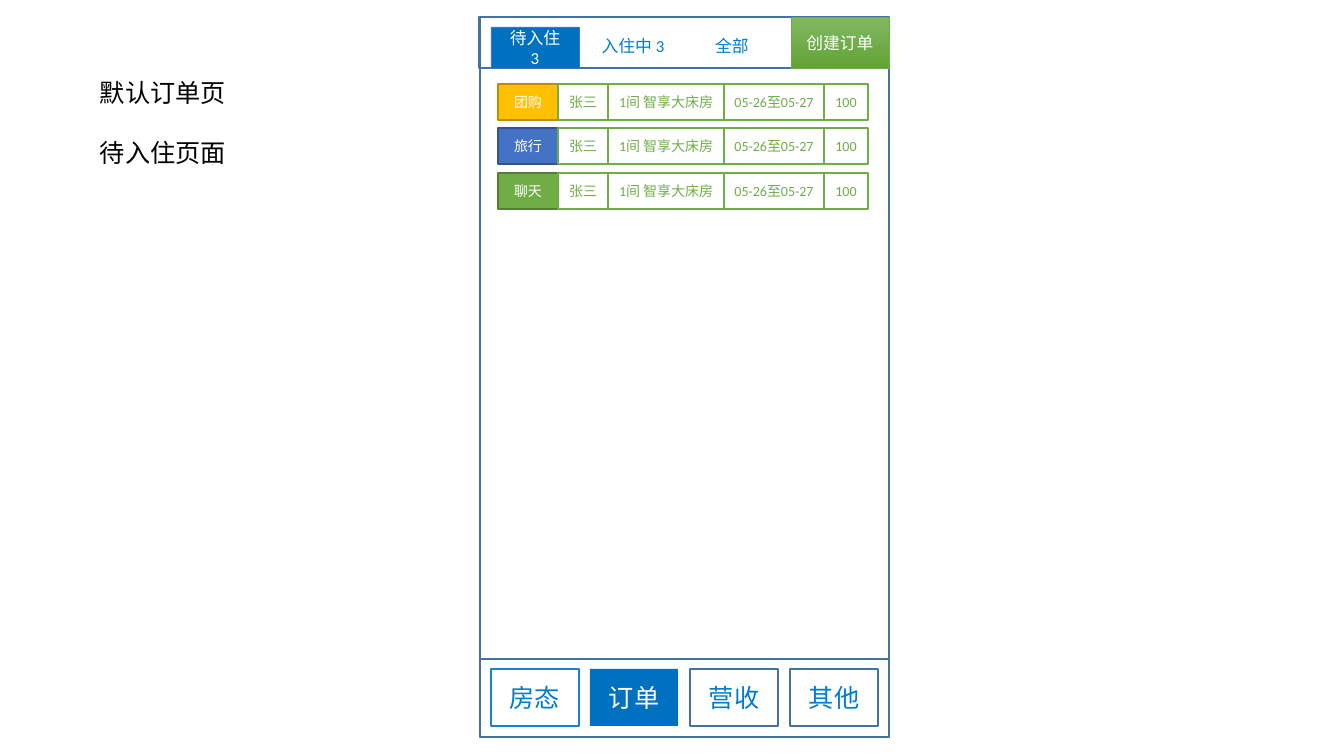
from itertools import accumulate

from pptx import Presentation
from pptx.dml.color import RGBColor
from pptx.enum.shapes import MSO_SHAPE as Shape
from pptx.enum.text import MSO_ANCHOR as Anchor, PP_ALIGN as Align
from pptx.util import Pt

EMU_PER_PX = 12192000 / 1344
WHITE, BLACK = "FFFFFF", "000000"
OUTLINE, LINK, ACTIVE, GREEN = "43739E", "007BD3", "0070C0", "70AD47"


def px(*lengths):
    """Turn pixel lengths into EMU."""
    return [round(length * EMU_PER_PX) for length in lengths]


def rgb(value):
    """Turn a hex string into a colour."""
    return RGBColor.from_string(value)


def style(paragraph, size, color):
    """Set the font of one paragraph."""
    font = paragraph.font
    font.name, font.size = "Calibri", Pt(size)
    font.color.rgb = rgb(color)


def write(holder, text, size, color):
    """Write centred text into a shape or text box."""
    frame = holder.text_frame
    frame.word_wrap, frame.vertical_anchor = True, Anchor.MIDDLE
    frame.text = text
    paragraph = frame.paragraphs[0]
    paragraph.alignment = Align.CENTER
    style(paragraph, size, color)


def panel(slide, box, fill=None, line=None, width=1.5):
    """Add a rectangle; a pair of colours as fill runs from top to bottom."""
    rect = slide.shapes.add_shape(Shape.RECTANGLE, *px(*box))
    rect.shadow.inherit = False
    if isinstance(fill, tuple):
        rect.fill.gradient()
        rect.fill.gradient_angle = 270
        for stop, color in zip(rect.fill.gradient_stops, fill):
            stop.color.rgb = rgb(color)
    elif fill:
        rect.fill.solid()
        rect.fill.fore_color.rgb = rgb(fill)
    else:
        rect.fill.background()
    if line:
        rect.line.color.rgb = rgb(line)
        rect.line.width = Pt(width)
    else:
        rect.line.fill.background()
    return rect


def page_notes(slide, box, captions):
    """List the captions that describe the page."""
    notes = slide.shapes.add_textbox(*px(*box))
    frame = notes.text_frame
    frame.word_wrap = False
    frame.text = "\n".join(captions)
    for paragraph in frame.paragraphs:
        style(paragraph, 18, BLACK)
    for paragraph in frame.paragraphs[1:]:
        paragraph.space_before = Pt(21.5)


def navigation(slide, box):
    """Draw the bottom bar with its four evenly spaced buttons."""
    left, top, _, _ = box
    panel(slide, box, line=OUTLINE)
    buttons = [("房态", WHITE, "1B7FD5", LINK), ("订单", ACTIVE, None, WHITE),
               ("营收", None, OUTLINE, LINK), ("其他", None, OUTLINE, LINK)]
    for i, (name, fill, line, color) in enumerate(buttons):
        button = panel(slide, (left + 11 + i * 299 // 3, top + 10, 88, 57), fill, line)
        write(button, name, 18, color)


def order_row(slide, box, channel, fill, line):
    """Draw one order: booking channel, guest, room, dates and price."""
    left, top, width, height = box
    panel(slide, (left + 1, top + 1, width - 2, height - 1), WHITE, GREEN)
    widths = [60, 50, 116, 100, 44]
    texts = [channel, "张三", "1间 智享大床房", "05-26至05-27", "100"]
    for i, (text, offset) in enumerate(zip(texts, accumulate(widths, initial=0))):
        colors = (fill, line, WHITE) if i == 0 else (WHITE, GREEN, GREEN)
        cell = panel(slide, (left + offset, top, widths[i], height), *colors[:2], 1)
        write(cell, text, 10, colors[2])


def orders(slide, box):
    """Stack the order rows at an equal pitch."""
    left, top, width, row_height = box
    channels = [("团购", "FFC000", "BD8E00"), ("旅行", "4472C4", "325491"),
                ("聊天", GREEN, "538035")]
    for i, channel in enumerate(channels):
        order_row(slide, (left, top + i * 89 // 2, width, row_height), *channel)


def header(slide, box):
    """Draw the top bar: three status tabs and the create button."""
    left, top, width, height = box
    panel(slide, box, line=OUTLINE)
    create = panel(slide, (left + width - 98, top, 98, height),
                   ("81B861", "62A336"), GREEN, 0.5)
    write(create, "创建订单", 12, WHITE)
    waiting = panel(slide, (left + 12, top + 10, 88, 41), ACTIVE, "4472C4", 0.5)
    write(waiting, "待入住\v3", 12, WHITE)
    staying = panel(slide, (left + 110, top + 10, 88, 37), WHITE)
    write(staying, "入住中 3", 12, LINK)
    everything = slide.shapes.add_textbox(*px(left + 209, top + 10, 88, 37))
    write(everything, "全部", 12, LINK)


def phone(slide, box):
    """Draw the phone screen with its bars and order list."""
    left, top, width, height = box
    panel(slide, box, line=OUTLINE)
    navigation(slide, (left, top + height - 78, width, 78))
    orders(slide, (left + 18, top + 67, 370, 36))
    header(slide, (left - 1, top, width + 1, 51))


deck = Presentation()
deck.slide_width, deck.slide_height = px(1344, 756)
order_page = deck.slides.add_slide(deck.slide_layouts[6])
page_notes(order_page, (90, 72, 146, 102), ["默认订单页", "待入住页面"])
phone(order_page, (480, 17, 409, 720))
deck.save("out.pptx")
